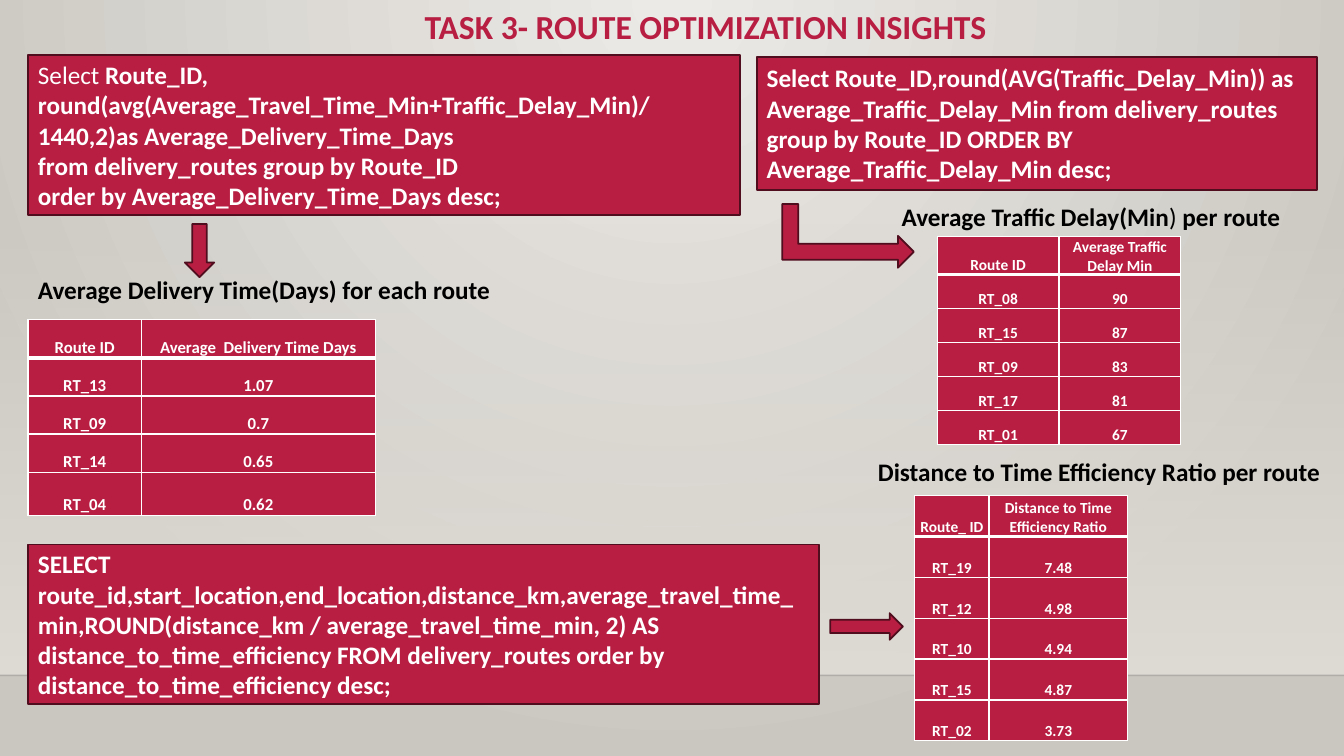
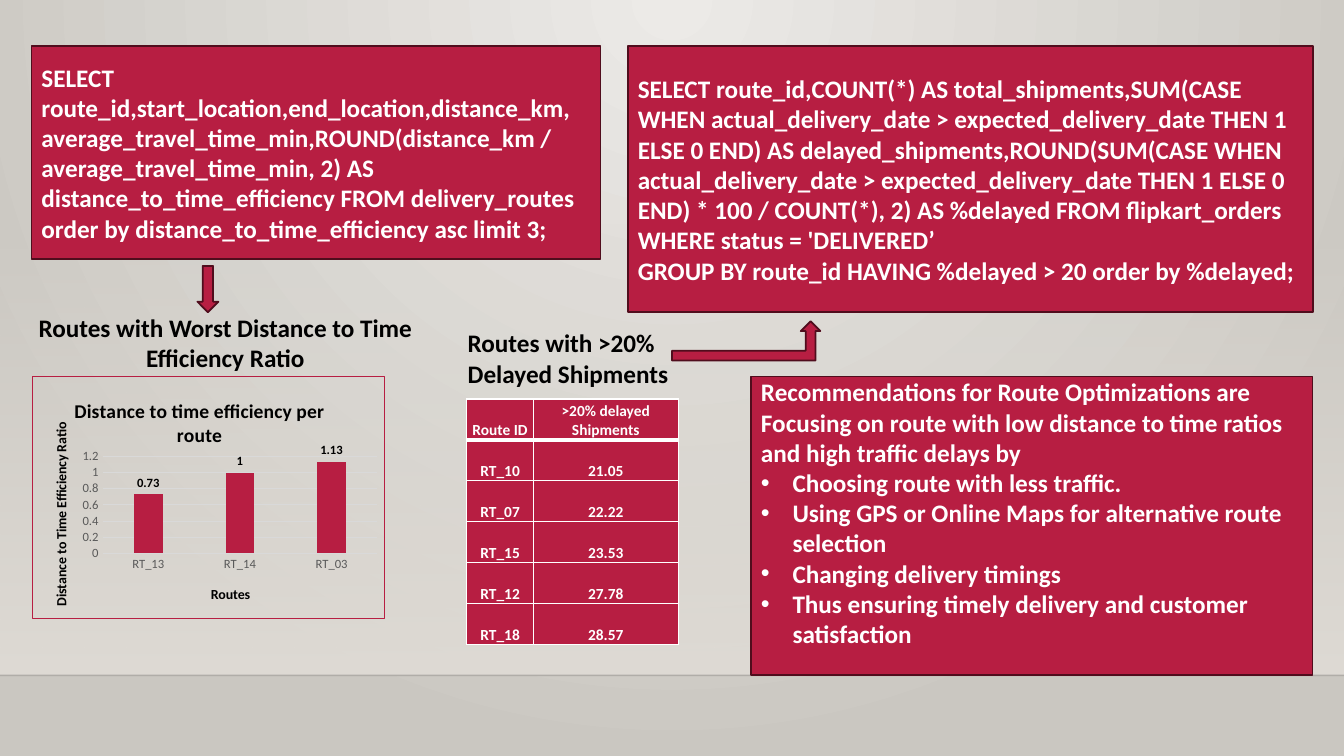
from pptx import Presentation
from pptx.chart.data import CategoryChartData
from pptx.dml.color import RGBColor
from pptx.enum.chart import XL_CHART_TYPE, XL_LABEL_POSITION, XL_TICK_MARK
from pptx.enum.shapes import MSO_CONNECTOR, MSO_SHAPE
from pptx.enum.text import MSO_ANCHOR, MSO_AUTO_SIZE, PP_ALIGN
from pptx.oxml import parse_xml
from pptx.oxml.ns import nsdecls, qn
from pptx.util import Pt

W, H = 960, 540
FONT = "Calibri"
COLORS = {
    "red": "B71E42", "edge": "500D1D", "white": "FFFFFF", "black": "000000",
    "glow": "ECEAE7", "wall": "CAC7C1", "floor": "DFDBD5",
    "grey": "595959", "grid": "D9D9D9",
}


def rgb(name):
    """Return the named colour."""
    return RGBColor.from_string(COLORS[name])


def box(x, y, w, h):
    """Return a frame in points as lengths."""
    return Pt(x), Pt(y), Pt(w), Pt(h)


def style(font, size, color, bold=False):
    """Format a font."""
    font.name, font.size, font.bold = FONT, Pt(size), bold
    font.color.rgb = rgb(color)


def write(tf, text, size=18, color="white", bold=True, align=PP_ALIGN.LEFT, bullets=None):
    """Fill a frame with lines; a line may be (text, bold) runs; bullets is the first bulleted line."""
    lines = [text] if isinstance(text, str) else text
    for i, line in enumerate(lines):
        p = tf.paragraphs[0] if i == 0 else tf.add_paragraph()
        p.alignment = align
        if bullets is not None and i >= bullets:
            pPr = p._p.get_or_add_pPr()
            pPr.set("marL", str(Pt(22.5)))
            pPr.set("indent", str(-Pt(22.5)))
            pPr.append(parse_xml(f'<a:buFont {nsdecls("a")} typeface="Arial"/>'))
            pPr.append(parse_xml(f'<a:buChar {nsdecls("a")} char="•"/>'))
        for part, heavy in [(line, bold)] if isinstance(line, str) else line:
            r = p.add_run()
            r.text = part
            style(r.font, size, color, heavy)


def gradient(stops, direction):
    """Build a gradient fill from (position, colour, opacity) stops."""
    gs = "".join(
        f'<a:gs pos="{pos * 1000}"><a:srgbClr val="{COLORS[c]}">'
        f'<a:alpha val="{alpha * 1000}"/></a:srgbClr></a:gs>' for pos, c, alpha in stops)
    return f'<a:gradFill {nsdecls("a")} rotWithShape="1"><a:gsLst>{gs}</a:gsLst>{direction}</a:gradFill>'


def backdrop(s):
    """Draw the lit wall, the floor band and the horizon line."""
    wall = gradient(
        [(0, "glow", 100), (100, "wall", 100)],
        '<a:path path="circle"><a:fillToRect l="43000" t="0" r="43000" b="100000"/></a:path>')
    s.element.cSld.insert(0, parse_xml(
        f'<p:bg {nsdecls("p", "a")}><p:bgPr>{wall}<a:effectLst/></p:bgPr></p:bg>'))
    band = shape(s, MSO_SHAPE.RECTANGLE, 0, 159, W, 323.4)
    band.line.fill.background()
    fade = gradient([(0, "floor", 0), (100, "floor", 100)], '<a:lin ang="5400000" scaled="0"/>')
    spPr = band.element.spPr
    spPr.replace(spPr.find(qn("a:solidFill")), parse_xml(fade))
    line = s.shapes.add_connector(MSO_CONNECTOR.STRAIGHT, Pt(0), Pt(482.4), Pt(W), Pt(482.4))
    line.line.width = Pt(1)
    line.line.color.rgb = rgb("black")
    line.element.spPr.find(qn("a:ln")).find(qn("a:solidFill"))[0].append(
        parse_xml(f'<a:alpha {nsdecls("a")} val="20000"/>'))
    line.element.spPr.append(parse_xml(f'<a:effectLst {nsdecls("a")}/>'))


def shape(s, kind, x, y, w, h, rotation=0):
    """Add a red shape with a dark edge."""
    sp = s.shapes.add_shape(kind, *box(x, y, w, h))
    sp.shadow.inherit = False
    sp.fill.solid()
    sp.fill.fore_color.rgb = rgb("red")
    sp.line.color.rgb = rgb("edge")
    sp.line.width = Pt(1.25)
    sp.rotation = rotation
    return sp


def panel(s, x, y, w, h, text, anchor=MSO_ANCHOR.MIDDLE, top=3.6, bullets=None):
    """Add a red text panel."""
    tf = shape(s, MSO_SHAPE.RECTANGLE, x, y, w, h).text_frame
    tf.word_wrap = True
    tf.vertical_anchor = anchor
    tf.margin_top = Pt(top)
    write(tf, text, bullets=bullets)


def caption(s, x, y, w, h, text, wrap=False, **fmt):
    """Add a heading in a plain text box."""
    tf = s.shapes.add_textbox(*box(x, y, w, h)).text_frame
    tf.word_wrap = wrap
    tf.auto_size = MSO_AUTO_SIZE.SHAPE_TO_FIT_TEXT
    write(tf, text, **{"color": "black", **fmt})


def table(s, x, y, cols, heights, rows, size=11):
    """Add a red table with white rules and a heavy rule under the header."""
    gf = s.shapes.add_table(len(rows), len(cols), *box(x, y, sum(cols), sum(heights)))
    tbl = gf.table
    for col, width in zip(tbl.columns, cols):
        col.width = Pt(width)
    for i, (row, height) in enumerate(zip(rows, heights)):
        tbl.rows[i].height = Pt(height)
        for j, text in enumerate(row):
            cell = tbl.cell(i, j)
            cell.margin_left = cell.margin_right = cell.margin_top = Pt(0.7)
            cell.margin_bottom = Pt(0)
            cell.vertical_anchor = MSO_ANCHOR.BOTTOM
            tcPr = cell._tc.get_or_add_tcPr()
            for side in "LRTB":
                heavy = (i, side) in ((0, "B"), (1, "T"))
                tcPr.append(parse_xml(
                    f'<a:ln{side} {nsdecls("a")} w="{Pt(3 if heavy else 1)}"><a:solidFill>'
                    f'<a:srgbClr val="{COLORS["white"]}"/></a:solidFill></a:ln{side}>'))
            cell.fill.solid()
            cell.fill.fore_color.rgb = rgb("red")
            write(cell.text_frame, text, size=size, align=PP_ALIGN.CENTER)


def place(el, inner=False, **pos):
    """Give a chart part a manual layout in fractions of the chart."""
    for old in el.findall(qn("c:layout")):
        el.remove(old)
    target = '<c:layoutTarget val="inner"/>' if inner else ""
    modes = "".join(f'<c:{k}Mode val="edge"/>' for k in "xy")
    vals = "".join(f'<c:{k} val="{v}"/>' for k, v in pos.items())
    layout = parse_xml(f'<c:layout {nsdecls("c")}><c:manualLayout>{target}{modes}{vals}'
                       '</c:manualLayout></c:layout>')
    tx = el.find(qn("c:tx"))
    if tx is None:
        el.insert(0, layout)
    else:
        tx.addnext(layout)


def chart(s, x, y, w, h, cats, vals):
    """Add the column chart of efficiency ratios."""
    data = CategoryChartData()
    data.categories = cats
    data.add_series("Series 1", vals)
    ch = s.shapes.add_chart(XL_CHART_TYPE.COLUMN_CLUSTERED, *box(x, y, w, h), data).chart
    style(ch.font, 10, "black")
    ch.has_legend = False
    ch.element.find(qn("c:chart")).addnext(parse_xml(
        f'<c:spPr {nsdecls("c", "a")}><a:noFill/><a:ln w="{Pt(0.75)}"><a:solidFill>'
        f'<a:srgbClr val="{COLORS["red"]}"/></a:solidFill></a:ln></c:spPr>'))
    ch.has_title = True
    cat, val = ch.category_axis, ch.value_axis
    titles = [
        (ch.chart_title, "Distance to time efficiency per route", 14, 0.11, 0.07),
        (cat.axis_title, "Routes", 10, 0.5, 0.85),
        (val.axis_title, "Distance to Time Efficiency Ratio", 10, 0.05, 0.18),
    ]
    for title, text, size, left, top in titles:
        write(title.text_frame, text, size=size, color="black", align=PP_ALIGN.CENTER)
        place(title.element, x=left, y=top)
    place(ch.element.chart.plotArea, inner=True, x=0.2, y=0.33, w=0.78, h=0.4)
    for axis in (cat, val):
        axis.major_tick_mark = axis.minor_tick_mark = XL_TICK_MARK.NONE
        style(axis.tick_labels.font, 9, "grey")
    val.minimum_scale, val.maximum_scale, val.major_unit = 0, 1.2, 0.2
    val.has_major_gridlines = True
    val.format.line.fill.background()
    for line in (cat.format.line, val.major_gridlines.format.line):
        line.color.rgb = rgb("grid")
        line.width = Pt(0.75)
    plot = ch.plots[0]
    plot.vary_by_categories = False
    plot.gap_width, plot.overlap = 219, -27
    bars = plot.series[0]
    bars.format.fill.solid()
    bars.format.fill.fore_color.rgb = rgb("red")
    labels = bars.data_labels
    labels.show_value = True
    labels.position = XL_LABEL_POSITION.OUTSIDE_END
    style(labels.font, 9, "black", True)


def insights_slide(s):
    """Build the slide of delivery time, traffic delay and efficiency queries."""
    backdrop(s)
    caption(s, 294.5, 0.5, 419, 36, "TASK 3- ROUTE OPTIMIZATION INSIGHTS",
            size=24, color="red", align=PP_ALIGN.CENTER)

    panel(s, 20, 39.5, 508.5, 114, [
        [("Select ", False), ("Route_ID,", True)],
        "round(avg(Average_Travel_Time_Min+Traffic_Delay_Min)/1440,2)as Average_Delivery_Time_Days",
        "from delivery_routes group by Route_ID",
        "order by Average_Delivery_Time_Days desc;"])
    shape(s, MSO_SHAPE.DOWN_ARROW, 132, 160, 21, 38)
    caption(s, 20, 192.5, 340, 29, "Average Delivery Time(Days) for each route")
    table(s, 20, 228.5, [81, 167], [27.2] * 4 + [31], [
        ("Route ID", "Average  Delivery Time Days"),
        ("RT_13", "1.07"), ("RT_09", "0.7"), ("RT_14", "0.65"), ("RT_04", "0.62")], size=12)

    panel(s, 540.5, 40.5, 400, 95,
          "Select Route_ID,round(AVG(Traffic_Delay_Min)) as Average_Traffic_Delay_Min from "
          "delivery_routes group by Route_ID ORDER BY Average_Traffic_Delay_Min desc;")
    shape(s, MSO_SHAPE.BENT_UP_ARROW, 583, 121.5, 45.5, 94, rotation=90)
    caption(s, 637, 140.5, 299, 29,
            [[("Average Traffic Delay(Min", True), (") ", False), ("per route", True)]])
    table(s, 669.5, 169, [87, 87], [24.3] * 6, [
        ("Route ID", "Average Traffic Delay Min"),
        ("RT_08", "90"), ("RT_15", "87"), ("RT_09", "83"), ("RT_17", "81"), ("RT_01", "67")])

    panel(s, 20, 389, 565, 114,
          "SELECT route_id,start_location,end_location,distance_km,average_travel_time_min,"
          "ROUND(distance_km / average_travel_time_min, 2) AS distance_to_time_efficiency "
          "FROM delivery_routes order by distance_to_time_efficiency desc;")
    shape(s, MSO_SHAPE.RIGHT_ARROW, 593, 438, 52, 19)
    caption(s, 620, 322.5, 334, 29, "Distance to Time Efficiency Ratio per route")
    table(s, 653.5, 354, [53, 99], [29.2] * 6, [
        ("Route_ ID", "Distance to Time Efficiency Ratio"),
        ("RT_19", "7.48"), ("RT_12", "4.98"), ("RT_10", "4.94"), ("RT_15", "4.87"),
        ("RT_02", "3.73")])


def recommendations_slide(s):
    """Build the slide of worst routes, delayed shipments and recommendations."""
    backdrop(s)
    panel(s, 22.5, 33, 406.5, 152, [
        "SELECT route_id,start_location,end_location,distance_km,",
        "average_travel_time_min,ROUND(distance_km / average_travel_time_min, 2) AS "
        "distance_to_time_efficiency FROM delivery_routes order by "
        "distance_to_time_efficiency asc limit 3;"])
    shape(s, MSO_SHAPE.DOWN_ARROW, 141, 190, 15, 33)
    caption(s, 8, 219.5, 306, 51, "Routes with Worst Distance to Time Efficiency Ratio",
            wrap=True, align=PP_ALIGN.CENTER)
    chart(s, 22.5, 268.5, 252.5, 174, ["RT_13", "RT_14", "RT_03"], [0.73, 1, 1.13])

    panel(s, 448.5, 33, 489.5, 190, [
        "SELECT route_id,COUNT(*) AS total_shipments,SUM(CASE WHEN actual_delivery_date > "
        "expected_delivery_date THEN 1 ELSE 0 END) AS delayed_shipments,ROUND(SUM(CASE WHEN "
        "actual_delivery_date > expected_delivery_date THEN 1 ELSE 0 END) * 100 / COUNT(*), 2) "
        "AS %delayed FROM flipkart_orders WHERE status = 'DELIVERED’",
        "GROUP BY route_id HAVING %delayed > 20 order by %delayed;"])
    shape(s, MSO_SHAPE.BENT_UP_ARROW, 480, 229.5, 106, 28)
    caption(s, 327, 230.5, 191, 51, "Routes with >20% Delayed Shipments", wrap=True)
    table(s, 333.5, 285, [47.5, 103.5], [29.2] * 6, [
        ("Route ID", ">20% delayed Shipments"),
        ("RT_10", "21.05"), ("RT_07", "22.22"), ("RT_15", "23.53"), ("RT_12", "27.78"),
        ("RT_18", "28.57")])

    panel(s, 536.5, 269, 401, 213, [
        "Recommendations for Route Optimizations are",
        "Focusing on route with low distance to time ratios and high traffic delays by",
        "Choosing route with less traffic.",
        "Using GPS or Online Maps for alternative route selection",
        "Changing delivery timings",
        "Thus ensuring timely delivery and customer satisfaction",
    ], anchor=MSO_ANCHOR.TOP, top=0, bullets=2)


def main():
    """Build and save the presentation."""
    prs = Presentation()
    prs.slide_width, prs.slide_height = Pt(W), Pt(H)
    for build in (insights_slide, recommendations_slide):
        build(prs.slides.add_slide(prs.slide_layouts[6]))
    prs.save("out.pptx")


if __name__ == "__main__":
    main()
